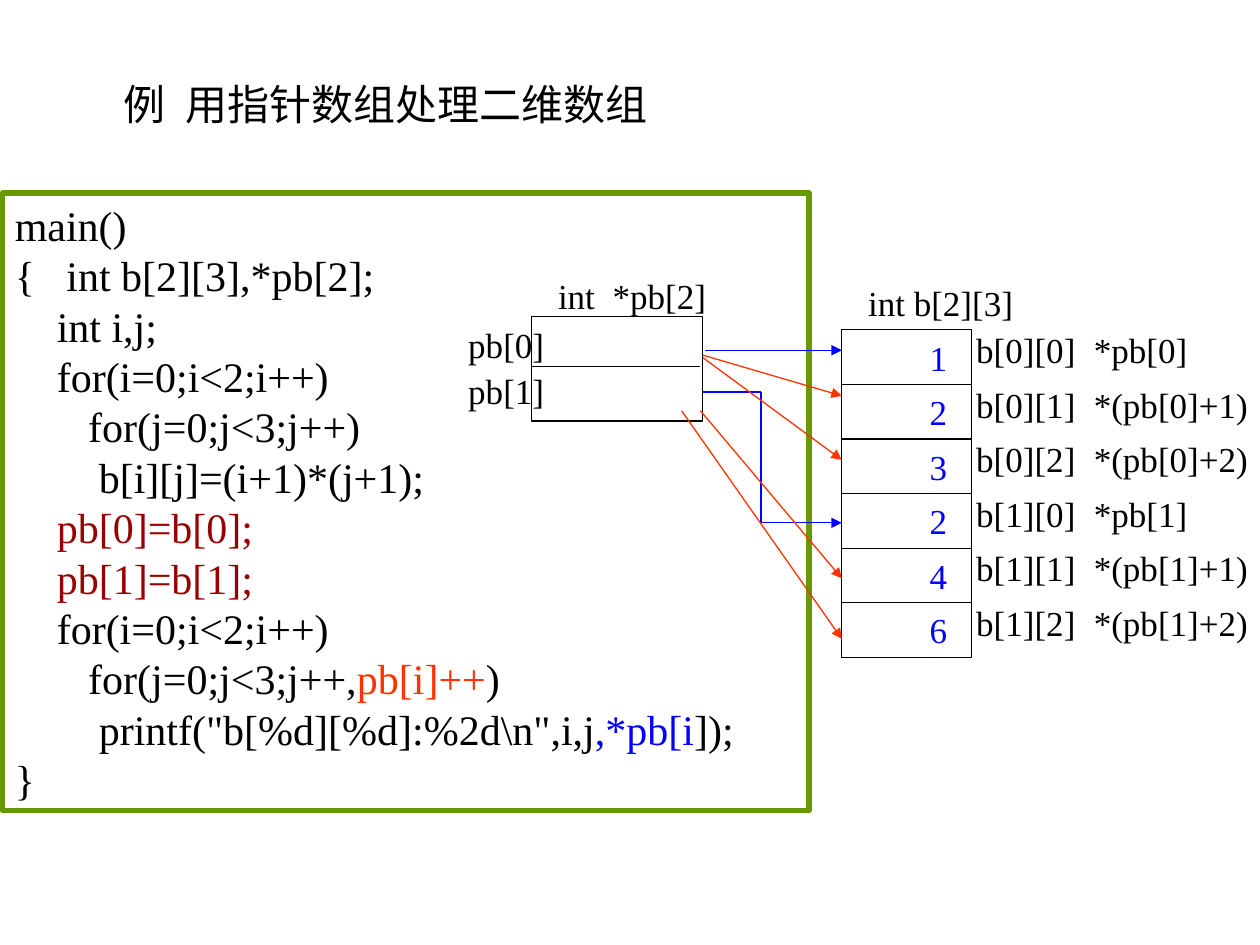
from lxml import etree
from pptx import Presentation
from pptx.dml.color import RGBColor
from pptx.enum import shapes, text
from pptx.oxml import ns
from pptx.util import Cm, Pt

BLACK = RGBColor(0x00, 0x00, 0x00)
WHITE = RGBColor(0xFF, 0xFF, 0xFF)
GREEN = RGBColor(0x66, 0x99, 0x00)
MAROON = RGBColor(0x99, 0x00, 0x00)
RED = RGBColor(0xFF, 0x33, 0x00)
BLUE = RGBColor(0x00, 0x00, 0xFF)
FONT = "Times New Roman"

HEADING = "例\t用指针数组处理二维数组"
CODE = [
    [("main()", BLACK)],
    [("{   int b[2][3],*pb[2];", BLACK)],
    [("    int i,j;", BLACK)],
    [("    for(i=0;i<2;i++)", BLACK)],
    [("       for(j=0;j<3;j++)", BLACK)],
    [("\t  b[i][j]=(i+1)*(j+1);", BLACK)],
    [("    pb[0]=b[0];", MAROON)],
    [("    pb[1]=b[1];", MAROON)],
    [("    for(i=0;i<2;i++)", BLACK)],
    [("       for(j=0;j<3;j++,", BLACK), ("pb[i]++", RED), (")", BLACK)],
    [("\t  printf(\"b[%d][%d]:%2d\\n\",i,j", BLACK), (",*pb[i", BLUE), ("]);", BLACK)],
    [("}", BLACK)],
]
POINTERS = ["pb[0]", "pb[1]"]
ELEMENTS = [
    ("1", "b[0][0]\t*pb[0]"),
    ("2", "b[0][1]\t*(pb[0]+1)"),
    ("3", "b[0][2]\t*(pb[0]+2)"),
    ("2", "b[1][0]\t*pb[1]"),
    ("4", "b[1][1]\t*(pb[1]+1)"),
    ("6", "b[1][2]\t*(pb[1]+2)"),
]

ARRAY_LEFT, ARRAY_TOP, ARRAY_WIDTH, ROW = 16.97, 6.65, 2.62, 1.1
ELBOW_X, ELBOW_Y = 15.34, 10.54
ELBOW = [
    ((14.17, 7.9), (ELBOW_X, 7.9)),
    ((ELBOW_X, 7.9), (ELBOW_X, ELBOW_Y)),
]
ARROWS = [
    ((14.22, 7.06), 7.06, BLUE),
    ((ELBOW_X, ELBOW_Y), ELBOW_Y, BLUE),
    ((14.17, 7.16), 7.98, RED),
    ((14.17, 7.21), 9.27, RED),
    ((14.12, 8.28), 11.66, RED),
    ((13.74, 8.28), 12.88, RED),
]


def set_font(font, size, color):
    font.name, font.size, font.color.rgb = FONT, Pt(size), color


def write(frame, words, size, color, tab=None):
    frame.word_wrap = True
    frame.auto_size = text.MSO_AUTO_SIZE.NONE
    frame.vertical_anchor = text.MSO_ANCHOR.TOP
    frame.margin_right = 0
    frame.text = words
    paragraph = frame.paragraphs[0]
    paragraph.alignment = text.PP_ALIGN.LEFT
    if tab:
        stops = etree.SubElement(paragraph._p.get_or_add_pPr(), ns.qn("a:tabLst"))
        etree.SubElement(stops, ns.qn("a:tab"), pos=str(Cm(tab)), algn="l")
    set_font(paragraph.font, size, color)


def add_label(slide, words, left, top, width, color=BLACK, tab=None):
    label = slide.shapes.add_textbox(Cm(left), Cm(top), Cm(width), Cm(1.12))
    write(label.text_frame, words, 20, color, tab)


def add_box(slide, left, top, width, height, color=BLACK, weight=0.75):
    box = slide.shapes.add_shape(
        shapes.MSO_SHAPE.RECTANGLE, Cm(left), Cm(top), Cm(width), Cm(height))
    box.shadow.inherit = False
    box.fill.background()
    box.line.color.rgb = color
    box.line.width = Pt(weight)
    return box


def add_line(slide, start, end, color=BLACK, arrow=False):
    line = slide.shapes.add_connector(
        shapes.MSO_CONNECTOR.STRAIGHT, *[Cm(v) for v in (*start, *end)])
    line.line.color.rgb = color
    line.line.width = Pt(0.75)
    if arrow:
        etree.SubElement(line.line._get_or_add_ln(), ns.qn("a:tailEnd"), type="triangle")
    etree.SubElement(line._element.spPr, ns.qn("a:effectLst"))


def add_code(slide):
    listing = add_box(slide, 0.05, 3.89, 16.26, 12.45, GREEN, 3)
    listing.fill.solid()
    listing.fill.fore_color.rgb = WHITE
    frame = listing.text_frame
    frame.word_wrap = False
    frame.vertical_anchor = text.MSO_ANCHOR.MIDDLE
    for number, pieces in enumerate(CODE):
        paragraph = frame.add_paragraph() if number else frame.paragraphs[0]
        paragraph.alignment = text.PP_ALIGN.LEFT
        for words, color in pieces:
            run = paragraph.add_run()
            run.text = words
            set_font(run.font, 24, color)


def add_pointer_array(slide):
    add_box(slide, 10.72, 6.38, 3.45, 2.11)
    add_line(slide, (10.72, 7.39), (14.12, 7.39))
    add_label(slide, "int\t*pb[2]", 11, 5.41, 3.48, tab=1.1)
    for row, name in enumerate(POINTERS):
        add_label(slide, name, 9.19, 6.4 + 0.92 * row, 2.03)


def add_data_array(slide):
    add_box(slide, ARRAY_LEFT, ARRAY_TOP, ARRAY_WIDTH, ROW * len(ELEMENTS))
    add_label(slide, "int b[2][3]", 17.25, 5.56, 3.43)
    for row, (value, access) in enumerate(ELEMENTS):
        top = ARRAY_TOP + ROW * row
        if row:
            add_line(slide, (ARRAY_LEFT, top), (ARRAY_LEFT + ARRAY_WIDTH, top))
        add_label(slide, value, 18.49, top, 0.86, BLUE)
        add_label(slide, access, 19.43, top - 0.15, 5.97, tab=2.37)


def main():
    deck = Presentation()
    deck.slide_width, deck.slide_height = Cm(25.4), Cm(19.05)
    slide = deck.slides.add_slide(deck.slide_layouts[5])
    title = slide.shapes.title
    title.left, title.top, title.width, title.height = Cm(2.24), Cm(1.45), Cm(11.05), Cm(1.27)
    write(title.text_frame, HEADING, 24, BLACK, tab=1.25)
    add_code(slide)
    add_pointer_array(slide)
    add_data_array(slide)
    for start, end in ELBOW:
        add_line(slide, start, end, BLUE)
    for start, target, color in ARROWS:
        add_line(slide, start, (ARRAY_LEFT, target), color, arrow=True)
    deck.save("out.pptx")


if __name__ == "__main__":
    main()
